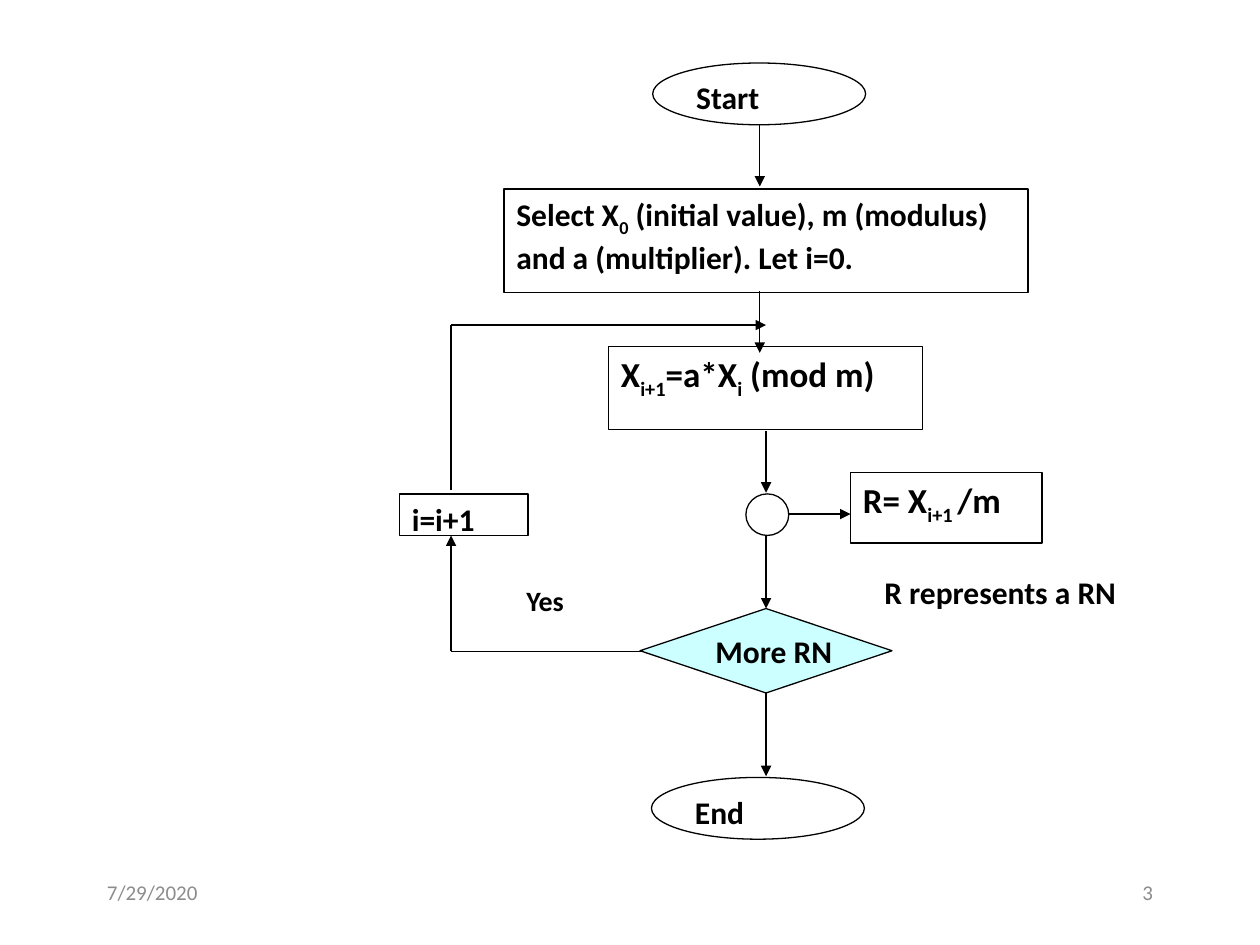
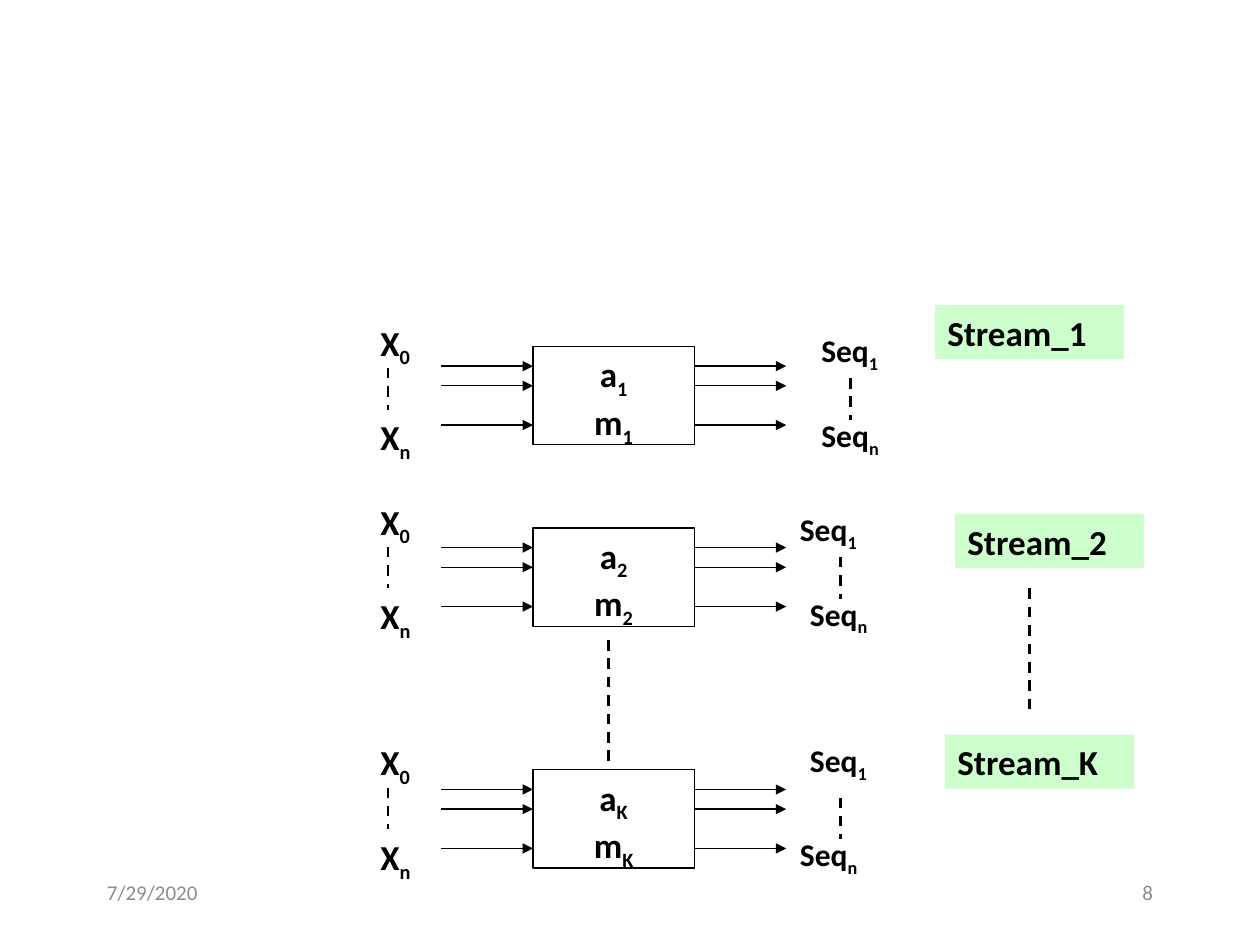
"""Build two slides on random numbers: a flow chart and a set of parallel streams."""
import pptx
import pptx.dml.color
import pptx.enum.dml
import pptx.enum.shapes
import pptx.enum.text
import pptx.oxml.ns
import pptx.util
from lxml import etree

Inches = pptx.util.Inches
SHAPES = pptx.enum.shapes.MSO_SHAPE
ALIGN = pptx.enum.text.PP_ALIGN
ANCHOR = pptx.enum.text.MSO_ANCHOR

FONT = "Calibri"
BLACK, WHITE, GREY, CYAN, GREEN = "000000", "FFFFFF", "8C8C8C", "CCFFFF", "CCFFCC"
DATE = "7/29/2020"

# Text between tildes is set as subscript.
NODES = [
    (SHAPES.OVAL, 5.92, 3.92, 0.34, 0.33, "", 18),
    (SHAPES.RECTANGLE, 6.75, 3.75, 1.52, 0.56, "R= X~i+1 ~/m", 20),
    (SHAPES.OVAL, 5.17, 6.17, 1.69, 0.49, "End", 18),
    (SHAPES.RECTANGLE, 3.17, 3.92, 1.02, 0.33, "i=i+1", 18),
    (SHAPES.OVAL, 5.18, 0.5, 1.69, 0.49, "Start", 18),
    (SHAPES.RECTANGLE, 4, 1.5, 4.16, 0.82,
     "Select X~0~ (initial value), m (modulus) and a (multiplier). Let i=0.", 18),
    (SHAPES.RECTANGLE, 4.83, 2.75, 2.49, 0.66, "X~i+1~=a*X~i~ (mod m)", 20),
]
NOTES = [
    (4.08, 4.58, 0.67, 0.37, "Yes", 16),
    (6.92, 4.5, 2.17, 0.4, "R represents a RN", 18),
]
ARROWS = [
    (6.03, 0.99, 6.03, 1.48),
    (6.03, 2.31, 6.03, 2.8),
    (6.08, 3.42, 6.08, 3.91),
    (6.25, 4.08, 6.75, 4.08),
    (6.08, 4.25, 6.08, 4.83),
    (6.08, 5.5, 6.08, 6.16),
    (3.58, 5.17, 3.58, 4.25),
    (3.58, 2.58, 6.08, 2.58),
]
PLAIN = [(5.11, 5.17, 3.58, 5.17), (3.58, 3.89, 3.58, 2.58)]

STREAMS = [
    dict(key="1", top=2.75, seed=2.5, first=(6.42, 2.58), last=(6.42, 3.25),
         dash=(6.75, 3), tag=(7.42, 2.42)),
    dict(key="2", top=4.19, seed=3.92, first=(6.25, 4), last=(6.33, 4.67),
         dash=(6.67, 4.42), tag=(7.58, 4.08)),
    dict(key="K", top=6.11, seed=5.83, first=(6.33, 5.83), last=(6.25, 6.58),
         dash=(6.67, 6.33), tag=(7.5, 5.83)),
]
LEFT, WIDE, HIGH = 4.23, 1.28, 0.78
REACH = 0.73
LEVELS = (0.2, 0.4, 0.8)
GAPS = [(4.83, 5.08), (8.17, 4.67)]


def color(text):
    return pptx.dml.color.RGBColor.from_string(text)


def write(shape, lines, size, ink=BLACK, bold=True, align=ALIGN.LEFT,
          anchor=ANCHOR.TOP, wrap=True):
    frame = shape.text_frame
    frame.word_wrap = wrap
    frame.vertical_anchor = anchor
    for n, line in enumerate(lines):
        para = frame.add_paragraph() if n else frame.paragraphs[0]
        para.alignment = align
        font = para.font
        font.name, font.size, font.bold = FONT, pptx.util.Pt(size), bold
        font.color.rgb = color(ink)
        for part, text in enumerate(line.split("~")):
            if text:
                run = para.add_run()
                run.text = text
                if part % 2:
                    run._r.get_or_add_rPr().set("baseline", "-25000")


def label(slide, x, y, w, h, text, size, **style):
    write(slide.shapes.add_textbox(*map(Inches, (x, y, w, h))), [text], size, **style)


def block(slide, kind, x, y, w, h, lines, size, fill=WHITE, edge=True, **style):
    shape = slide.shapes.add_shape(kind, *map(Inches, (x, y, w, h)))
    shape.shadow.inherit = False
    shape.fill.solid()
    shape.fill.fore_color.rgb = color(fill)
    if edge:
        shape.line.color.rgb = color(BLACK)
        shape.line.width = pptx.util.Pt(0.75)
    else:
        shape.line.fill.background()
    write(shape, lines, size, **style)


def link(slide, ends, width=0.75, head=False, dash=False):
    wire = slide.shapes.add_connector(
        pptx.enum.shapes.MSO_CONNECTOR.STRAIGHT, *map(Inches, ends))
    wire.line.color.rgb = color(BLACK)
    wire.line.width = pptx.util.Pt(width)
    if dash:
        wire.line.dash_style = pptx.enum.dml.MSO_LINE.DASH
    props = wire._element.spPr
    if head:
        line = props.find(pptx.oxml.ns.qn("a:ln"))
        etree.SubElement(line, pptx.oxml.ns.qn("a:tailEnd"), type="triangle")
    etree.SubElement(props, pptx.oxml.ns.qn("a:effectLst"))


def drop(slide, x, y, length):
    link(slide, (x, y, x, y + length), width=1.5, dash=True)


def start(deck, number):
    slide = deck.slides.add_slide(deck.slide_layouts[6])
    for x, text, align in ((0.75, DATE, ALIGN.LEFT), (7.17, number, ALIGN.RIGHT)):
        label(slide, x, 6.83, 2.08, 0.5, text, 12, ink=GREY, bold=False,
              align=align, anchor=ANCHOR.MIDDLE)
    return slide


def draw_flow(slide):
    for *place, text, size in NODES:
        block(slide, *place, [text], size)
    block(slide, SHAPES.DIAMOND, 5.08, 4.83, 2, 0.67, ["More RN"], 18, fill=CYAN,
          anchor=ANCHOR.MIDDLE, wrap=False)
    for note in NOTES:
        label(slide, *note)
    for ends in ARROWS:
        link(slide, ends, head=True)
    for ends in PLAIN:
        link(slide, ends)


def draw_stream(slide, key, top, seed, first, last, dash, tag):
    block(slide, SHAPES.RECTANGLE, LEFT, top, WIDE, HIGH,
          [f"a~{key}~", f"m~{key}~"], 20, align=ALIGN.CENTER)
    for level in LEVELS:
        y = top + level * HIGH
        for x in (LEFT - REACH, LEFT + WIDE):
            link(slide, (x, y, x + REACH, y), head=True)
    label(slide, 2.92, seed, 0.5, 0.43, "X~0~", 20)
    label(slide, 2.92, seed + 0.75, 0.58, 0.43, "X~n~", 20)
    drop(slide, 3.08, seed + 0.42, 0.33)
    label(slide, *first, 0.83, 0.5, "Seq~1~", 18)
    label(slide, *last, 0.92, 0.5, "Seq~n~", 18)
    drop(slide, *dash, 0.33)
    block(slide, SHAPES.RECTANGLE, *tag, 1.5, 0.43, [f"Stream_{key}"], 20,
          fill=GREEN, edge=False)


def main():
    deck = pptx.Presentation()
    deck.slide_width, deck.slide_height = Inches(10), Inches(7.5)
    draw_flow(start(deck, "3"))
    slide = start(deck, "8")
    for stream in STREAMS:
        draw_stream(slide, **stream)
    for x, y in GAPS:
        drop(slide, x, y, 1)
    deck.save("out.pptx")


if __name__ == "__main__":
    main()
